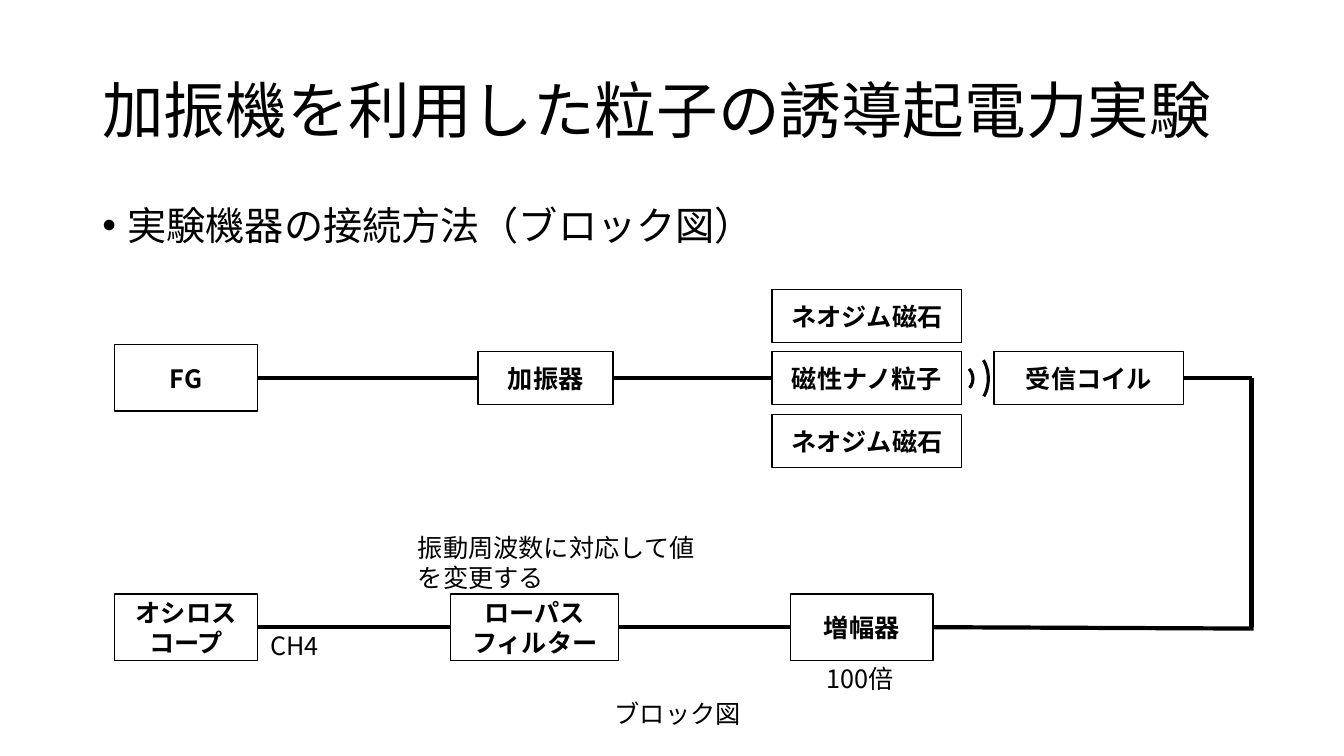
from dataclasses import dataclass

import lxml.etree
import pptx
import pptx.dml.color
import pptx.enum.shapes
import pptx.enum.text
import pptx.oxml.ns
import pptx.util

Pt = pptx.util.Pt
qn = pptx.oxml.ns.qn
BLACK = pptx.dml.color.RGBColor(0, 0, 0)
WHITE = pptx.dml.color.RGBColor(255, 255, 255)
FONT = "Noto Sans CJK JP"
ROW_A, ROW_B = 270, 448
EDGE = 894
LINE = 3


@dataclass
class Box:
    key: str
    text: str
    left: float
    mid: float
    width: float
    height: float


@dataclass
class Label:
    text: str
    left: float
    top: float
    width: float
    height: float
    size: float = 18
    space: float = 1
    middle: bool = False
    bullet: bool = False


@dataclass
class Arc:
    left: float
    width: float
    height: float
    start: float
    end: float


@dataclass
class Wire:
    start: tuple[float, float]
    end: tuple[float, float]
    tail: str = ""
    head: str = ""


LABELS = [
    Label("加振機を利用した粒子の誘導起電力実験", 66, 28.75, 828, 104.4, 44, 0.9, middle=True),
    Label("実験機器の接続方法（ブロック図）", 66, 143.75, 828, 342.6, 28, 0.9, bullet=True),
    Label("ブロック図", 432, 495, 117, 29),
    Label("CH4", 186, 447, 64, 29),
    Label("振動周波数に対応して値を変更する", 291.5, 376.5, 226, 51),
    Label("100倍", 583.5, 470, 72, 29),
]

BOXES = [
    Box("gen", "FG", 82, ROW_A, 102, 47.5),
    Box("shaker", "加振器", 341.5, ROW_A, 96.5, 38),
    Box("upper", "ネオジム磁石", 551.5, 225.75, 135.5, 38),
    Box("sample", "磁性ナノ粒子", 551.5, ROW_A, 135.5, 38),
    Box("lower", "ネオジム磁石", 551.5, 315, 135.5, 38),
    Box("coil", "受信コイル", 710, ROW_A, 135.5, 38),
    Box("scope", "オシロスコープ", 82, ROW_B, 102, 47.5),
    Box("filter", "ローパスフィルター", 322, ROW_B, 120, 47.5),
    Box("amp", "増幅器", 564.5, ROW_B, 102, 47.5),
]

ARCS = [
    Arc(675.5, 19.5, 20, 315, 41.8),
    Arc(681, 25, 38, 304.2, 53.6),
]

WIRES = [
    Wire((184, ROW_A), (341.5, ROW_A), "gen", "shaker"),
    Wire((438, ROW_A), (551.5, ROW_A), "shaker", "sample"),
    Wire((845.5, ROW_A), (EDGE, ROW_A), "coil"),
    Wire((EDGE, ROW_A), (EDGE, ROW_B)),
    Wire((666.5, ROW_B), (EDGE + 1.5, ROW_B + 1), "amp"),
    Wire((442, ROW_B), (564.5, ROW_B), "filter", "amp"),
    Wire((184, ROW_B), (322, ROW_B), "scope", "filter"),
]


def add_run(para, text: str, size: float, bold: bool = False) -> None:
    run = para.add_run()
    run.text = text
    font = run.font
    font.size = Pt(size)
    font.bold = bold
    font.name = FONT
    font.color.rgb = BLACK
    lxml.etree.SubElement(run._r.get_or_add_rPr(), qn("a:ea")).set("typeface", FONT)


def draw_label(slide, item: Label) -> None:
    box = slide.shapes.add_textbox(
        Pt(item.left), Pt(item.top), Pt(item.width), Pt(item.height))
    frame = box.text_frame
    frame.word_wrap = True
    anchor = pptx.enum.text.MSO_ANCHOR
    frame.vertical_anchor = anchor.MIDDLE if item.middle else anchor.TOP
    para = frame.paragraphs[0]
    para.line_spacing = item.space
    if item.bullet:
        props = para._p.get_or_add_pPr()
        props.set("marL", str(Pt(18)))
        props.set("indent", str(-Pt(18)))
        lxml.etree.SubElement(props, qn("a:buFont")).set("typeface", "Arial")
        lxml.etree.SubElement(props, qn("a:buChar")).set("char", "•")
    add_run(para, item.text, item.size)


def draw_box(slide, item: Box):
    shape = slide.shapes.add_shape(
        pptx.enum.shapes.MSO_SHAPE.RECTANGLE, Pt(item.left),
        Pt(item.mid - item.height / 2), Pt(item.width), Pt(item.height))
    shape.shadow.inherit = False
    shape.fill.background()
    shape.line.color.rgb = BLACK
    shape.line.width = Pt(1)
    frame = shape.text_frame
    frame.word_wrap = True
    frame.vertical_anchor = pptx.enum.text.MSO_ANCHOR.MIDDLE
    para = frame.paragraphs[0]
    para.alignment = pptx.enum.text.PP_ALIGN.CENTER
    add_run(para, item.text, 18, True)
    return shape


def draw_arc(slide, item: Arc) -> None:
    shape = slide.shapes.add_shape(
        pptx.enum.shapes.MSO_SHAPE.ARC, Pt(item.left),
        Pt(ROW_A + 0.5 - item.height / 2), Pt(item.width), Pt(item.height))
    shape.shadow.inherit = False
    shape.fill.background()
    shape.line.color.rgb = BLACK
    shape.line.width = Pt(2.25)
    for index, angle in enumerate((item.start, item.end)):
        shape.adjustments[index] = angle * 0.6


def draw_wire(slide, item: Wire, shapes: dict) -> None:
    wire = slide.shapes.add_connector(
        pptx.enum.shapes.MSO_CONNECTOR.STRAIGHT,
        *(Pt(value) for value in item.start + item.end))
    if item.tail:
        wire.begin_connect(shapes[item.tail], 3)
    if item.head:
        wire.end_connect(shapes[item.head], 1)
    wire.line.color.rgb = BLACK
    wire.line.width = Pt(LINE)
    lxml.etree.SubElement(wire._element.spPr, qn("a:effectLst"))


def main() -> None:
    deck = pptx.Presentation()
    deck.slide_width, deck.slide_height = Pt(960), Pt(540)
    slide = deck.slides.add_slide(deck.slide_layouts[6])
    slide.background.fill.solid()
    slide.background.fill.fore_color.rgb = WHITE
    for label in LABELS:
        draw_label(slide, label)
    shapes = {box.key: draw_box(slide, box) for box in BOXES}
    for arc in ARCS:
        draw_arc(slide, arc)
    for wire in WIRES:
        draw_wire(slide, wire, shapes)
    deck.save("out.pptx")


if __name__ == "__main__":
    main()
